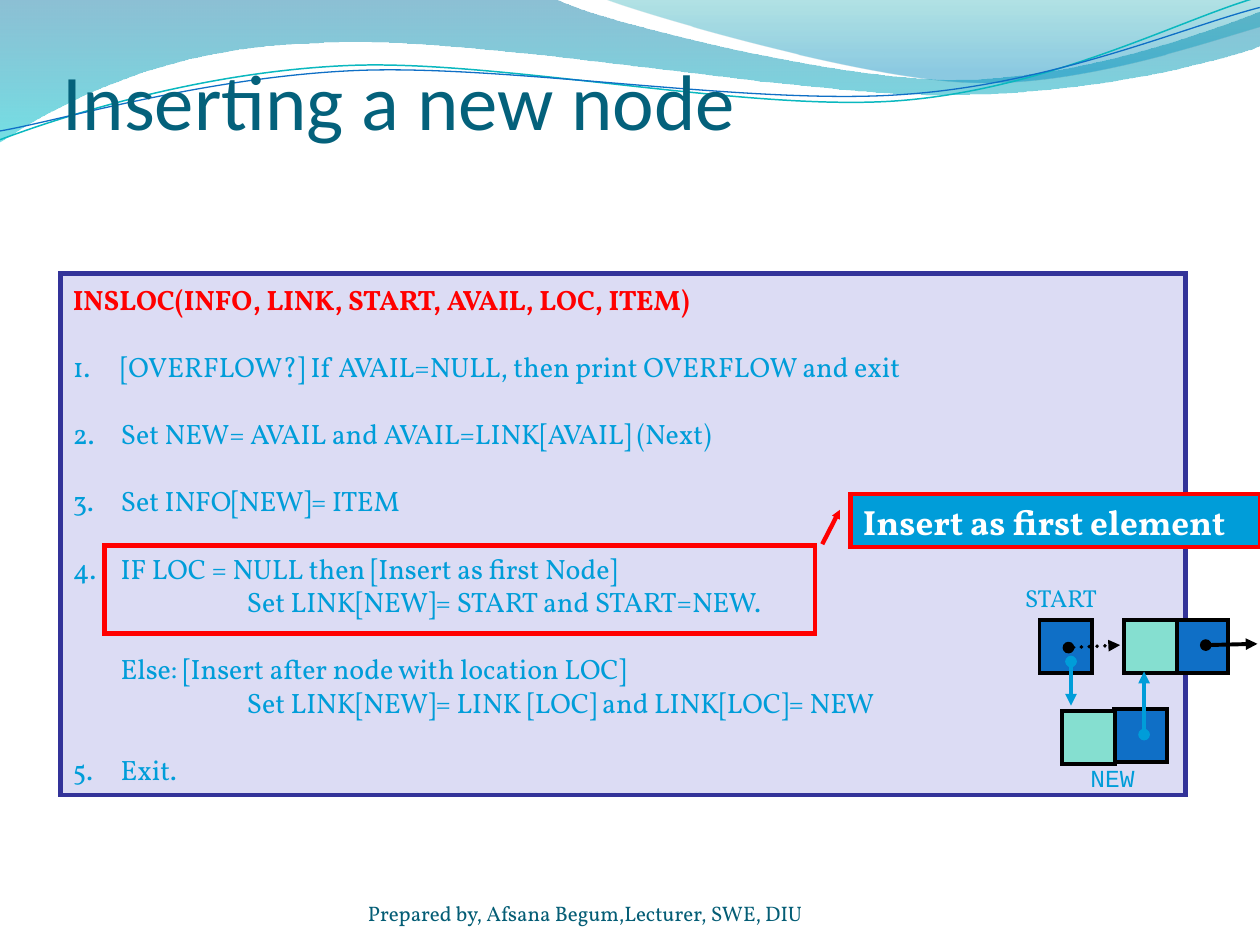
import math
from dataclasses import dataclass

from pptx import Presentation
from pptx import util as u
from pptx.dml.color import RGBColor
from pptx.enum import dml, shapes, text
from pptx.oxml import ns, xmlchemy


@dataclass(frozen=True)
class Theme:
    title_font: str = "Calibri"
    body_font: str = "Vollkorn"
    code_font: str = "Courier New"
    title_size: float = 45
    callout_size: float = 20
    body_size: float = 16
    label_size: float = 14
    footer_size: float = 12
    line_gap: float = 19.2
    title: str = "04617B"
    footer: str = "045D75"
    accent: str = "009DD9"
    alert: str = "FF0000"
    panel: str = "DCDCF4"
    panel_edge: str = "333399"
    link_cell: str = "0F6FC6"
    info_cell: str = "85DFD0"
    teal_line: str = "0AB8BF"
    black: str = "000000"
    white: str = "FFFFFF"


THEME = Theme()
CELL = 0.42
INDENT = 0.38
DEEP_INDENT = 1.38
CURVE_TILT = 357.3

LEFT_WAVE = [
    (0, 0), (4.4, -0.01),
    (4.76, 0.17, 6.64, 0.63, 7.58, 0.63), (8.53, 0.63, 9.58, 0.26, 10, 0.09),
    (10.01, 0.36),
    (9.83, 0.44, 8.7, 0.76, 7.46, 0.75), (6.22, 0.75, 3.82, 0.28, 2.57, 0.34),
    (1.29, 0.36, 0.46, 0.83, -0.01, 1.13), (0, 0),
]
RIGHT_WAVE = [
    (4.79, -0.01),
    (5.09, 0.11, 6.82, 0.62, 7.69, 0.65), (8.56, 0.69, 9.61, 0.32, 10, 0.21),
    (10, 0), (4.79, -0.01),
]
TEAL_CURVE = [
    (0, 1.11), (0.48, 0.93, 1.58, 0.57, 2.77, 0.52),
    (3.95, 0.47, 5.93, 0.89, 7.13, 0.8), (8.33, 0.71, 9.38, 0.15, 9.98, -0.02),
]
BLUE_CURVE = [
    (0, 1.04), (0.47, 0.96, 1.64, 0.61, 2.83, 0.56),
    (4.03, 0.51, 5.97, 0.84, 7.17, 0.75), (8.36, 0.67, 9.41, 0.21, 10, 0.06),
]

STEPS = [
    (1, INDENT, True, "[OVERFLOW?] If AVAIL=NULL, then print OVERFLOW and exit"),
    (2, INDENT, True, "Set NEW= AVAIL and AVAIL=LINK[AVAIL] (Next)"),
    (3, INDENT, True, "Set INFO[NEW]= ITEM"),
    (4, INDENT, True, "IF LOC = NULL then [Insert as first Node]"),
    (None, DEEP_INDENT, False, "Set LINK[NEW]= START and START=NEW."),
    (None, INDENT, True, "Else: [Insert after node with location LOC]"),
    (None, DEEP_INDENT, False, "Set LINK[NEW]= LINK [LOC] and LINK[LOC]= NEW"),
    (5, INDENT, True, "Exit."),
]


def rgb(color):
    return RGBColor.from_string(color)


def sub_element(parent, tag, **attributes):
    child = xmlchemy.OxmlElement(tag)
    for name, value in attributes.items():
        child.set(name, str(value))
    parent.append(child)
    return child


def style_text(para, size, color, font=THEME.body_font, bold=False):
    for span in para.runs:
        span.font.name = font
        span.font.size = u.Pt(size)
        span.font.bold = bold
        span.font.color.rgb = rgb(color)


def turn(point, center, degrees):
    angle = math.radians(degrees)
    dx, dy = point[0] - center[0], point[1] - center[1]
    return (center[0] + dx * math.cos(angle) - dy * math.sin(angle),
            center[1] + dx * math.sin(angle) + dy * math.cos(angle))


def add_outline(page, segments, closed, tilt=0):
    points = [part[i:i + 2] for part in segments for i in range(0, len(part), 2)]
    (x0, y0), (x1, y1) = segments[0], segments[-1][-2:]
    center = ((x0 + x1) / 2, (y0 + y1) / 2)
    nodes = [tuple(map(u.Inches, turn(point, center, -tilt))) for point in points]
    builder = page.shapes.build_freeform(*nodes[0])
    builder.add_line_segments(nodes[1:], close=closed)
    outline = builder.convert_to_shape()
    outline.shadow.inherit = False
    outline.rotation = tilt
    lines = iter(list(outline._element.iter(ns.qn("a:lnTo"))))
    for part in segments[1:]:
        first = next(lines)
        if len(part) == 6:
            curve = xmlchemy.OxmlElement("a:cubicBezTo")
            first.addprevious(curve)
            for line in (first, next(lines), next(lines)):
                curve.append(line[0])
                line.getparent().remove(line)
    return outline


def add_wave(page, segments, stops):
    wave = add_outline(page, segments, True)
    wave.line.fill.background()
    wave.fill.gradient()
    wave.fill.gradient_angle = 270
    for stop, (position, color, opacity) in zip(wave.fill.gradient_stops, stops):
        stop.position = position
        stop.color.rgb = rgb(color)
    colors = wave.fill._xPr.iter(ns.qn("a:srgbClr"))
    for element, (position, color, opacity) in zip(colors, stops):
        sub_element(element, "a:alpha", val=opacity * 1000)


def add_curve(page, segments, color, width):
    curve = add_outline(page, segments, False, CURVE_TILT)
    curve.fill.background()
    curve.line.color.rgb = rgb(color)
    curve.line.width = u.Pt(width)


def add_label(page, area, words, size, color, font=THEME.body_font,
              align=text.PP_ALIGN.LEFT, anchor=text.MSO_ANCHOR.TOP, inset=True, wrap=True):
    box = page.shapes.add_textbox(*map(u.Inches, area))
    frame = box.text_frame
    frame.text = words
    frame.word_wrap = wrap
    frame.vertical_anchor = anchor
    if not inset:
        frame.margin_left = frame.margin_right = frame.margin_top = frame.margin_bottom = 0
    frame.paragraphs[0].alignment = align
    style_text(frame.paragraphs[0], size, color, font)


def add_block(page, area, fill, edge, width=2.5, kind=shapes.MSO_SHAPE.RECTANGLE):
    block = page.shapes.add_shape(kind, *map(u.Inches, area))
    block.shadow.inherit = False
    if fill:
        block.fill.solid()
        block.fill.fore_color.rgb = rgb(fill)
    else:
        block.fill.background()
    block.line.color.rgb = rgb(edge)
    block.line.width = u.Pt(width)
    sub_element(block.line._get_or_add_ln(), "a:miter", lim=800000)
    return block


def add_cell(page, left, top, fill):
    add_block(page, (left, top, CELL, CELL), fill, THEME.black, 2.25)


def add_pointer(page, start, end, color, dotted=False):
    pointer = page.shapes.add_connector(
        shapes.MSO_CONNECTOR.STRAIGHT, *map(u.Inches, start + end))
    pointer.line.color.rgb = rgb(color)
    pointer.line.width = u.Pt(2.25)
    line = pointer.line._get_or_add_ln()
    if dotted:
        pointer.line.dash_style = dml.MSO_LINE.ROUND_DOT
        line.set("cap", "rnd")
    sub_element(line, "a:headEnd", type="oval")
    sub_element(line, "a:tailEnd", type="triangle")
    sub_element(pointer._element.spPr, "a:effectLst")


def add_algorithm(page):
    panel = add_block(page, (0.48, 2.17, 8.93, 4.14), THEME.panel, THEME.panel_edge)
    frame = panel.text_frame
    frame.vertical_anchor = text.MSO_ANCHOR.MIDDLE
    heading = frame.paragraphs[0]
    heading.text = "INSLOC(INFO, LINK, START, AVAIL, LOC, ITEM)"
    heading.alignment = text.PP_ALIGN.LEFT
    style_text(heading, THEME.body_size, THEME.alert, bold=True)
    for number, indent, spaced, words in STEPS:
        para = frame.add_paragraph()
        para.text = words
        para.alignment = text.PP_ALIGN.LEFT
        para.space_before = u.Pt(THEME.line_gap if spaced else 0)
        properties = para._p.get_or_add_pPr()
        properties.set("marL", str(u.Inches(indent)))
        if number:
            properties.set("indent", str(-u.Inches(indent)))
            sub_element(properties, "a:buAutoNum", type="arabicPeriod", startAt=number)
        style_text(para, THEME.body_size, THEME.accent)


def add_callout(page):
    callout = add_block(page, (6.75, 3.92, 3.25, 0.42), THEME.accent, THEME.alert,
                        kind=shapes.MSO_SHAPE.LINE_CALLOUT_1)
    for index, value in enumerate((0.3, -0.026, 0.95, -0.069)):
        callout.adjustments[index] = value
    sub_element(callout.line._get_or_add_ln(), "a:headEnd", type="triangle", w="sm", len="sm")
    frame = callout.text_frame
    frame.text = "Insert as first element"
    frame.vertical_anchor = text.MSO_ANCHOR.TOP
    frame.paragraphs[0].alignment = text.PP_ALIGN.LEFT
    style_text(frame.paragraphs[0], THEME.callout_size, THEME.white, bold=True)


def add_list_diagram(page):
    centered = text.PP_ALIGN.CENTER
    add_cell(page, 9.33, 4.92, THEME.link_cell)
    add_cell(page, 8.92, 4.92, THEME.info_cell)
    add_label(page, (8, 4.58, 0.84, 0.33), "START", THEME.label_size, THEME.accent,
              align=centered, wrap=False)
    add_cell(page, 8.25, 4.92, THEME.link_cell)
    add_pointer(page, (8.48, 5.14), (8.89, 5.12), THEME.black, dotted=True)
    add_cell(page, 8.84, 5.63, THEME.link_cell)
    add_cell(page, 8.43, 5.64, THEME.info_cell)
    add_pointer(page, (9.57, 5.12), (9.98, 5.11), THEME.black)
    add_label(page, (8.25, 6.01, 1.16, 0.33), "NEW", THEME.label_size, THEME.accent,
              THEME.code_font, centered)
    add_pointer(page, (8.5, 5.25), (8.5, 5.6), THEME.accent)
    add_pointer(page, (9.08, 5.83), (9.08, 5.33), THEME.accent)


def main():
    deck = Presentation()
    deck.slide_width, deck.slide_height = u.Inches(10), u.Inches(7.5)
    page = deck.slides.add_slide(deck.slide_layouts[6])
    add_wave(page, LEFT_WAVE, [(0, "0074A1", 45), (1, "00C6CF", 55)])
    add_wave(page, RIGHT_WAVE, [(0, "00A1A9", 30), (0.8, "008BBF", 45)])
    add_curve(page, TEAL_CURVE, THEME.teal_line, 0.85)
    add_curve(page, BLUE_CURVE, THEME.link_cell, 0.75)
    add_label(page, (2.92, 6.95, 3.67, 0.4), "Prepared by, Afsana Begum,Lecturer, SWE, DIU",
              THEME.footer_size, THEME.footer, anchor=text.MSO_ANCHOR.BOTTOM, inset=False)
    add_label(page, (0.5, 0.33, 9, 0.83), "Inserting a new node", THEME.title_size,
              THEME.title, THEME.title_font, anchor=text.MSO_ANCHOR.BOTTOM, inset=False)
    add_algorithm(page)
    add_block(page, (0.83, 4.33, 5.64, 0.7), None, THEME.alert)
    add_callout(page)
    add_list_diagram(page)
    deck.save("out.pptx")


if __name__ == "__main__":
    main()
